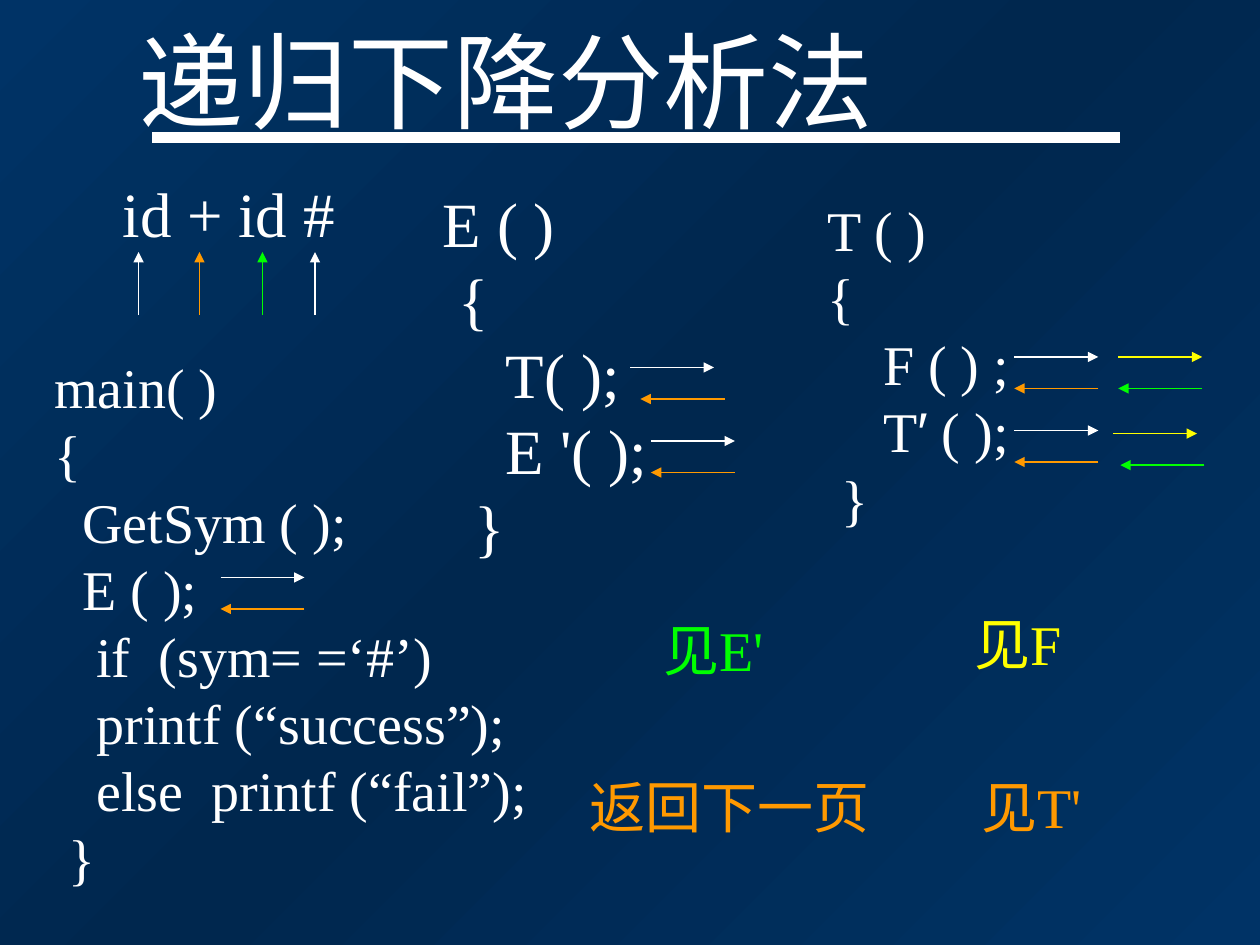
import copy
from dataclasses import dataclass

import lxml.etree
import pptx
import pptx.dml.color
import pptx.enum.dml
import pptx.enum.shapes
import pptx.enum.text
import pptx.oxml.ns
import pptx.util


@dataclass(frozen=True)
class Theme:
    font: str = "Times New Roman"
    prime_font: str = "Arial"
    white: str = "FFFFFF"
    orange: str = "FF9900"
    green: str = "00FF00"
    yellow: str = "FFFF00"
    edge: str = "003366"
    middle: str = "00274E"
    title: int = 60
    large: int = 36
    body: int = 32
    rule: float = 6
    hairline: float = 0.75


T = Theme()
COLUMNS = 120
SLIDE_W = pptx.util.Inches(10)
SLIDE_H = pptx.util.Inches(7.5)
ARROW_LENGTH = 8
RETURN_DROP = 3


def grid(n):
    return round(n * SLIDE_W / COLUMNS)


def rgb(color):
    return pptx.dml.color.RGBColor.from_string(color)


def add_element(parent, tag, **attrs):
    return lxml.etree.SubElement(parent, pptx.oxml.ns.qn(tag), **attrs)


def add_line(s, start, end, color, width=T.hairline, arrow=True):
    line = s.shapes.add_connector(
        pptx.enum.shapes.MSO_CONNECTOR.STRAIGHT, *map(grid, start + end))
    line.line.color.rgb = rgb(color)
    line.line.width = pptx.util.Pt(width)
    if arrow:
        add_element(line.line._get_or_add_ln(), "a:tailEnd", type="triangle")
    add_element(line._element.spPr, "a:effectLst")


def add_text(s, box, lines, size, color=T.white, wrap=True):
    tf = s.shapes.add_textbox(*map(grid, box)).text_frame
    tf.word_wrap = wrap
    tf.auto_size = pptx.enum.text.MSO_AUTO_SIZE.SHAPE_TO_FIT_TEXT
    for i, (indent, text) in enumerate(lines):
        p = tf.add_paragraph() if i else tf.paragraphs[0]
        p.font.name = T.font
        p.font.size = pptx.util.Pt(size)
        p.font.color.rgb = rgb(color)
        space_width = pptx.util.Pt(size / 4)
        p._p.get_or_add_pPr().set("marL", str(indent * space_width))
        for part in text.replace("′", "|′|").split("|"):
            r = p.add_run()
            r.text = part
            if part == "′":
                r.font.name = T.prime_font


def add_background(s):
    fill = s.background.fill
    fill.gradient()
    fill.gradient_angle = 315
    stops = fill.gradient_stops
    for stop, position in zip(stops, (0, 1)):
        stop.color.rgb = rgb(T.edge)
        stop.position = position
    first = stops[0]._gs
    first.addnext(copy.deepcopy(first))
    center = fill.gradient_stops[1]
    center.color.rgb = rgb(T.middle)
    center.position = 0.5


def add_title(s, box, text):
    x, y, w, h = box
    add_line(s, (x + 2.5, y + 12.1), (x + 94.7, y + 12.1),
             T.white, T.rule, arrow=False)
    add_text(s, box, [(0, text)], T.title, wrap=False)


def add_input(s, box, text, pointers):
    x, y, w, h = box
    add_text(s, box, [(1, text)], T.large)
    for dx, color in pointers:
        add_line(s, (x + dx, y + 14), (x + dx, y + 8), color)


def add_routine(s, box, lines, size, calls):
    x, y, w, h = box
    add_text(s, box, lines, size)
    for dx, dy, shift, call_color, return_color in calls:
        left, top = x + dx, y + dy
        add_line(s, (left, top), (left + ARROW_LENGTH, top), call_color)
        left, top = left + shift, top + RETURN_DROP
        add_line(s, (left + ARROW_LENGTH, top), (left, top), return_color)


def add_links(s, box, links):
    x, y, w, h = box
    for dx, dy, width, text, color in links:
        add_text(s, (x + dx, y + dy, width, 7.7), [(0, text)], T.body, color)


def main():
    prs = pptx.Presentation()
    prs.slide_width, prs.slide_height = SLIDE_W, SLIDE_H
    s = prs.slides.add_slide(prs.slide_layouts[6])
    first_pass = (T.white, T.orange)
    second_pass = (T.yellow, T.green)

    add_background(s)
    add_title(s, (12, 1, 72.4, 13.2), "递归下降分析法")
    add_input(s, (9, 16, 30, 8.4), "id + id #",
              [(4.2, T.white), (10, T.orange), (16, T.green), (21, T.white)])
    add_routine(s, (4, 33, 52, 52.4), [
        (0, "main( )"),
        (0, "{"),
        (2, "GetSym ( );"),
        (2, "E ( );"),
        (3, "if  (sym= =‘#’)"),
        (3, "printf (“success”);"),
        (3, "else  printf (“fail”);"),
        (1, "}"),
    ], T.body, [(17, 22, 0, *first_pass)])
    add_routine(s, (41, 17, 28.9, 37.2), [
        (0, "E ( )"),
        (1, "{"),
        (4, "T( );"),
        (4, "E '( );"),
        (2, "}"),
    ], T.large, [(19, 18, 1, *first_pass), (21, 25, 0, *first_pass)])
    add_routine(s, (77.6, 18, 24, 33.2), [
        (0, "T ( )"),
        (0, "{"),
        (4, "F ( ) ;"),
        (4, "T′ ( );"),
        (1, "}"),
    ], T.body, [
        (19, 16, 0, *first_pass),
        (19, 23, 0, *first_pass),
        (28.9, 16, 0, *second_pass),
        (28.4, 23.3, 0.7, *second_pass),
    ])
    add_links(s, (55, 57.5, 51.3, 23.2), [
        (36.6, 0, 14, "见F", T.yellow),
        (7, 0.5, 14, "见E'", T.green),
        (37.3, 15.5, 14, "见T'", T.orange),
        (0, 15.5, 30, "返回下一页", T.orange),
    ])
    prs.save("out.pptx")


if __name__ == "__main__":
    main()
